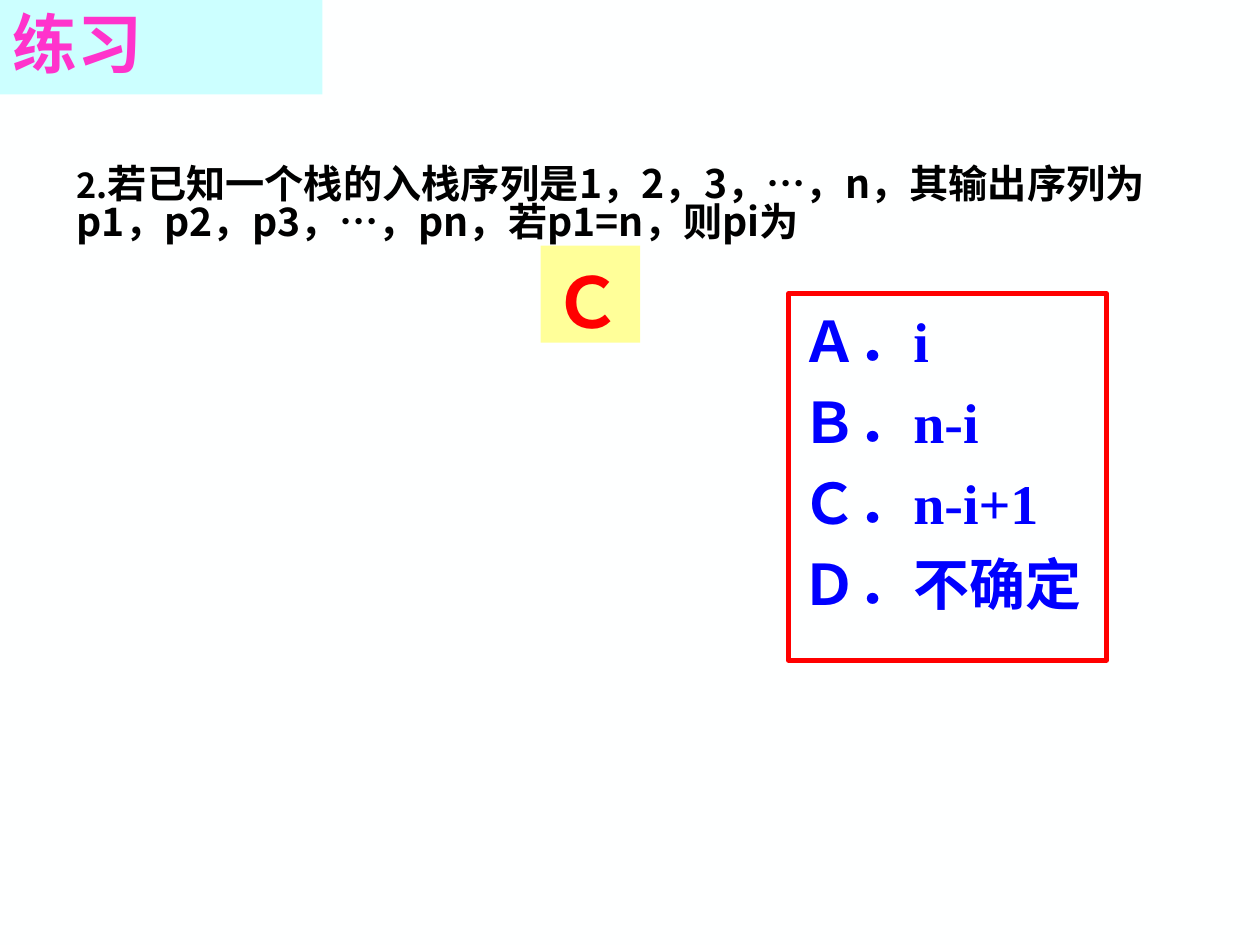
"""Build an exercise slide on stack output order with four choices and the answer."""
from pptx import Presentation
from pptx.dml.color import RGBColor
from pptx.enum.shapes import MSO_SHAPE
from pptx.enum.text import MSO_ANCHOR, MSO_AUTO_SIZE, PP_ALIGN
from pptx.oxml.ns import qn
from pptx.util import Inches, Pt

RECTANGLE = MSO_SHAPE.RECTANGLE
TOP, MIDDLE = MSO_ANCHOR.TOP, MSO_ANCHOR.MIDDLE
LEFT = PP_ALIGN.LEFT
NO_AUTOFIT = MSO_AUTO_SIZE.NONE

BACKGROUND = RGBColor(0xFE, 0xFF, 0xFF)
CYAN = RGBColor(0xCC, 0xFF, 0xFF)
YELLOW = RGBColor(0xFF, 0xFF, 0x99)
PINK = RGBColor(0xFF, 0x33, 0xCC)
BLUE = RGBColor(0x00, 0x00, 0xFF)
RED = RGBColor(0xFF, 0x00, 0x00)
BLACK = RGBColor(0x00, 0x00, 0x00)

CJK_FONT = "Noto Sans CJK SC"
LATIN_FONT = "Times New Roman"

HEADING = "练习"
NUMBER = "2."
QUESTION = "若已知一个栈的入栈序列是1，2，3，…，n，其输出序列为p1，p2，p3，…，pn，若p1=n，则pi为"
CHOICES = ["Ａ．i", "Ｂ．n-i", "Ｃ．n-i+1", "Ｄ．不确定"]
ANSWER = "Ｃ"


def style_run(run, size, color, font=CJK_FONT):
    run.font.name = font
    run.font.size = Pt(size)
    run.font.bold = True
    run.font.color.rgb = color
    east_asian = run.font._element.makeelement(qn("a:ea"), {"typeface": CJK_FONT})
    run.font._element.find(qn("a:latin")).addnext(east_asian)


def set_frame(frame, anchor, top=0.05):
    frame.word_wrap = True
    frame.auto_size = NO_AUTOFIT
    frame.vertical_anchor = anchor
    frame.margin_left = frame.margin_right = Inches(0.1)
    frame.margin_top, frame.margin_bottom = Inches(top), Inches(0.05)


def add_panel(slide, box, lines, size, color):
    panel = slide.shapes.add_shape(RECTANGLE, *map(Inches, box))
    panel.shadow.inherit = False
    frame = panel.text_frame
    set_frame(frame, TOP, top=0.1)
    frame.text = "\n".join(lines)
    for index, paragraph in enumerate(frame.paragraphs):
        paragraph.alignment = LEFT
        paragraph.line_spacing = Pt(1.2 * size)
        paragraph.space_before = Pt(8 if index else 0)
        properties = paragraph._p.get_or_add_pPr()
        properties.set("marL", str(Inches(0.38)))
        properties.set("indent", str(Inches(-0.38)))
        style_run(paragraph.runs[0], size, color, LATIN_FONT)
    return panel


def main():
    deck = Presentation()
    deck.slide_width, deck.slide_height = Inches(10), Inches(7.5)
    slide = deck.slides.add_slide(deck.slide_layouts[5])
    slide.background.fill.solid()
    slide.background.fill.fore_color.rgb = BACKGROUND

    heading = slide.shapes.title
    heading.left, heading.top = Inches(0), Inches(0)
    heading.width, heading.height = Inches(2.56), Inches(0.75)
    heading.fill.solid()
    heading.fill.fore_color.rgb = CYAN
    set_frame(heading.text_frame, MIDDLE)
    heading.text_frame.text = HEADING
    paragraph = heading.text_frame.paragraphs[0]
    paragraph.alignment = LEFT
    paragraph.line_spacing = 0.9
    style_run(paragraph.runs[0], 37, PINK)

    choices = add_panel(slide, (6.26, 2.33, 2.52, 2.91), CHOICES, 32, BLUE)
    choices.fill.background()
    choices.line.color.rgb = RED
    choices.line.width = Pt(3)

    answer = add_panel(slide, (4.29, 1.95, 0.79, 0.77), [ANSWER], 40, RED)
    answer.fill.solid()
    answer.fill.fore_color.rgb = YELLOW
    answer.line.fill.background()

    question = slide.shapes.add_textbox(*map(Inches, (0.51, 1.01, 8.9, 1.25)))
    set_frame(question.text_frame, MIDDLE)
    paragraph = question.text_frame.paragraphs[0]
    paragraph.line_spacing = 0.8
    for text, size in [(NUMBER, 19.6), (QUESTION, 22.4)]:
        run = paragraph.add_run()
        run.text = text
        style_run(run, size, BLACK)

    deck.save("out.pptx")


if __name__ == "__main__":
    main()
